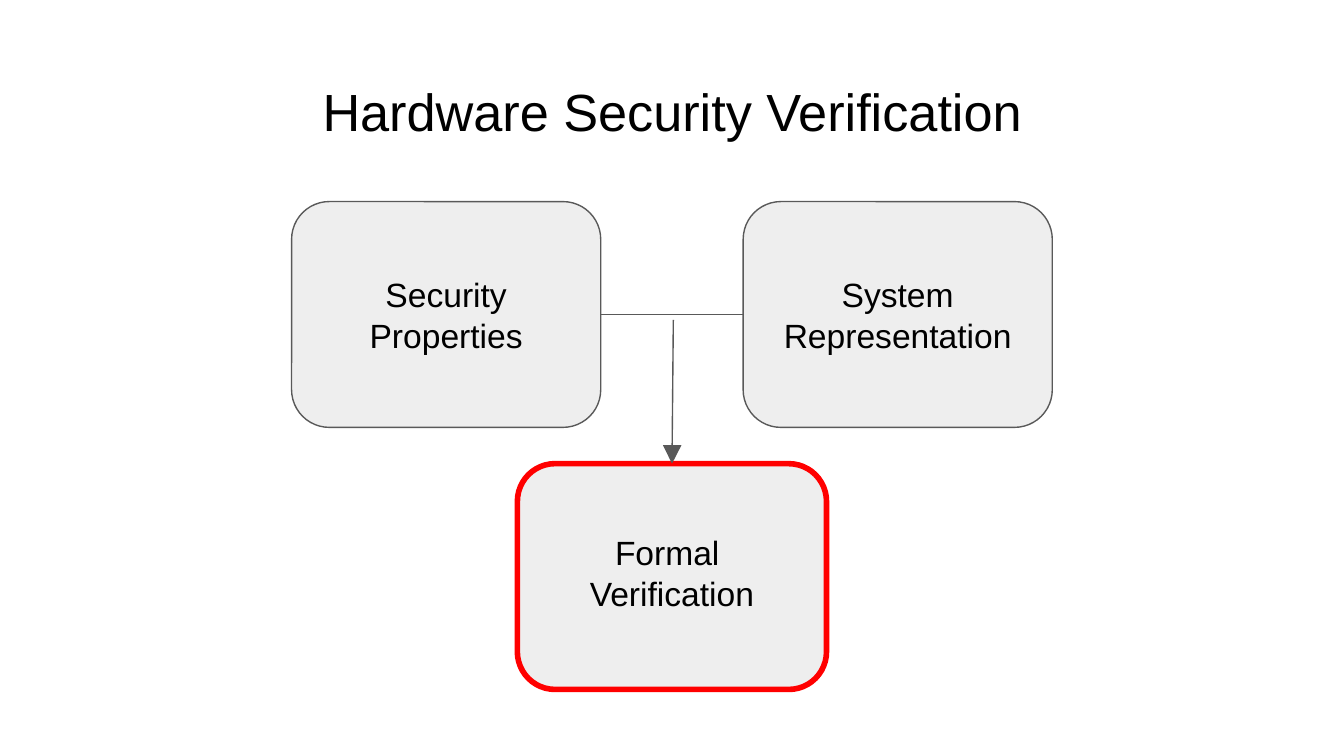
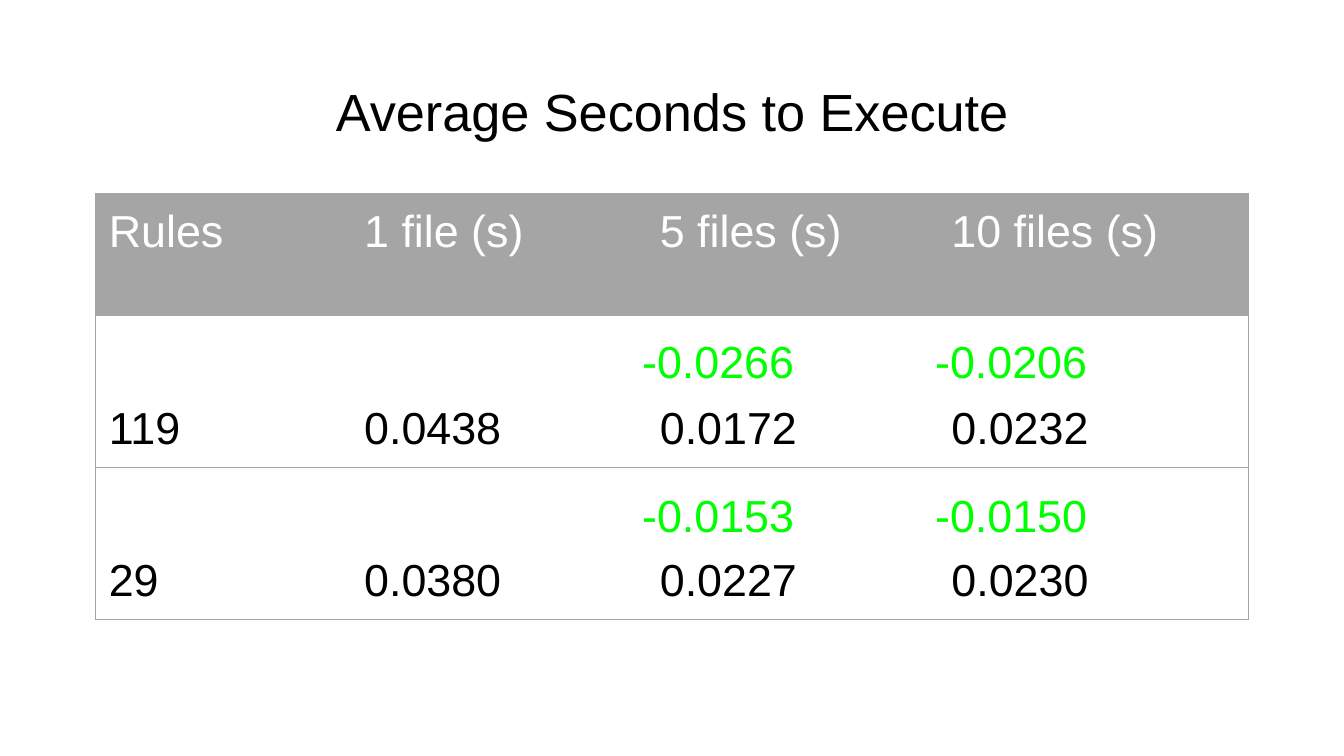
from lxml import etree
from pptx import Presentation
from pptx.dml.color import RGBColor
from pptx.enum.shapes import MSO_CONNECTOR, MSO_SHAPE
from pptx.enum.text import MSO_ANCHOR, PP_ALIGN
from pptx.oxml.ns import qn
from pptx.util import Inches, Pt

STRAIGHT = MSO_CONNECTOR.STRAIGHT
ROUNDED = MSO_SHAPE.ROUNDED_RECTANGLE
TOP, MIDDLE, BOTTOM = MSO_ANCHOR.TOP, MSO_ANCHOR.MIDDLE, MSO_ANCHOR.BOTTOM
LEFT, CENTER = PP_ALIGN.LEFT, PP_ALIGN.CENTER
SIDE_TOP, SIDE_LEFT, SIDE_RIGHT = 0, 1, 3

FONT = "Arial"
COLORS = {
    "text": "000000",
    "box": "EEEEEE",
    "line": "595959",
    "highlight": "FF0000",
    "header": "A5A5A5",
    "header_text": "FFFFFF",
    "gain": "00FF00",
}
TITLE_BOX = (0.34, 0.49, 9.32, 0.63)
FLOW_BOX = (2.17, 1.5, 5.66, 3.63)
TIMING_BOX = (0.71, 1.44, 8.58, 3.17)

COLUMN_WIDTHS = [1.9, 2.2, 2.17, 2.31]
ROW_HEIGHTS = [0.91, 1.13, 1.13]
TIMINGS = [
    ["Rules", "1 file (s)", "5 files (s)", "10 files (s)"],
    ["119", "0.0438", "0.0172", "0.0232"],
    ["29", "0.0380", "0.0227", "0.0230"],
]
GAINS = [["-0.0266", "-0.0206"], ["-0.0153", "-0.0150"]]


def color(name):
    return RGBColor.from_string(COLORS[name])


def write(text_frame, text, size, color_name="text", alignment=LEFT, spacing=None):
    text_frame.text = text
    text_frame.word_wrap = True
    text_frame.margin_left = text_frame.margin_right = Inches(0.1)
    text_frame.margin_top = text_frame.margin_bottom = Inches(0.1)
    for paragraph in text_frame.paragraphs:
        paragraph.alignment = alignment
        paragraph.line_spacing = spacing
        for run in paragraph.runs:
            run.font.name = FONT
            run.font.size = Pt(size)
            run.font.bold = False
            run.font.color.rgb = color(color_name)


def add_text(slide, box, text, size, color_name="text", alignment=LEFT):
    shape = slide.shapes.add_textbox(*map(Inches, box))
    write(shape.text_frame, text, size, color_name, alignment)
    shape.text_frame.vertical_anchor = TOP


def add_titled_slide(presentation, title):
    slide = presentation.slides.add_slide(presentation.slide_layouts[6])
    add_text(slide, TITLE_BOX, title, 28, alignment=CENTER)
    return slide


def add_step(slide, box, text, line_color="line", line_width=0.75):
    step = slide.shapes.add_shape(ROUNDED, *map(Inches, box))
    step.adjustments[0] = 0.167
    step.shadow.inherit = False
    step.fill.solid()
    step.fill.fore_color.rgb = color("box")
    step.line.color.rgb = color(line_color)
    step.line.width = Pt(line_width)
    write(step.text_frame, text, 18, alignment=CENTER)
    step.text_frame.vertical_anchor = MIDDLE
    return step


def add_line(slide, start, end, arrow=False):
    connector = slide.shapes.add_connector(STRAIGHT, *map(Inches, start + end))
    connector.line.color.rgb = color("line")
    connector.line.width = Pt(0.75)
    properties = connector._element.spPr
    if arrow:
        line = properties.find(qn("a:ln"))
        etree.SubElement(line, qn("a:tailEnd"), type="triangle", w="lg", len="lg")
    etree.SubElement(properties, qn("a:effectLst"))
    return connector


def add_flow(slide, box):
    left, top, width, height = box
    step_width, step_height = 2.3, 1.68
    right = left + width - step_width
    center = left + width / 2
    middle = top + step_height / 2
    result_top = top + height - step_height

    properties = add_step(slide, (left, top, step_width, step_height),
                          "Security Properties")
    system = add_step(slide, (right, top, step_width, step_height),
                      "System Representation")
    verification = add_step(
        slide, (center - step_width / 2, result_top, step_width, step_height),
        "Formal \nVerification", "highlight", 3)
    verification.text_frame.margin_bottom = Inches(0.16)

    link = add_line(slide, (left + step_width, middle), (right, middle))
    link.begin_connect(properties, SIDE_RIGHT)
    link.end_connect(system, SIDE_LEFT)
    arrow = add_line(slide, (center + 0.01, middle + 0.04),
                     (center, result_top), arrow=True)
    arrow.end_connect(verification, SIDE_TOP)


def set_borders(cell, visible_sides):
    properties = cell._tc.get_or_add_tcPr()
    for index, side in enumerate("LRTB"):
        line = etree.Element(qn(f"a:ln{side}"), w=str(Pt(0.83)))
        if side in visible_sides:
            fill = etree.SubElement(line, qn("a:solidFill"))
            etree.SubElement(fill, qn("a:srgbClr"), val=COLORS["header"])
        else:
            etree.SubElement(line, qn("a:noFill"))
        properties.insert(index, line)


def add_timing_cell(cell, text, is_header, sides):
    if is_header:
        cell.fill.solid()
        cell.fill.fore_color.rgb = color("header")
        write(cell.text_frame, text, 24, "header_text")
    else:
        cell.fill.background()
        write(cell.text_frame, text, 24, spacing=1.15)
    cell.vertical_anchor = TOP if is_header else BOTTOM
    cell.margin_left = cell.margin_right = Inches(0.1)
    cell.margin_top = cell.margin_bottom = Inches(0.1)
    set_borders(cell, sides)


def add_timings(slide, box):
    left, top = box[:2]
    frame = slide.shapes.add_table(len(TIMINGS), len(COLUMN_WIDTHS),
                                   *map(Inches, box))
    table = frame.table
    table.horz_banding = False
    for column, width in zip(table.columns, COLUMN_WIDTHS):
        column.width = Inches(width)
    last = len(COLUMN_WIDTHS) - 1
    for row_index, (height, values) in enumerate(zip(ROW_HEIGHTS, TIMINGS)):
        table.rows[row_index].height = Inches(height)
        for column_index, value in enumerate(values):
            sides = "TB" + {0: "L", last: "R"}.get(column_index, "")
            add_timing_cell(table.cell(row_index, column_index), value,
                            row_index == 0, sides)

    for row_index, gains in enumerate(GAINS):
        for column_index, gain in enumerate(gains):
            gain_box = (left + 3.97 + 2.18 * column_index,
                        top + 0.94 + 1.15 * row_index, 1.5, 0.43)
            add_text(slide, gain_box, gain, 24, "gain")


def main():
    presentation = Presentation()
    presentation.slide_width = Inches(10)
    presentation.slide_height = Inches(10) * 9 // 16
    add_flow(add_titled_slide(presentation, "Hardware Security Verification"),
             FLOW_BOX)
    add_timings(add_titled_slide(presentation, "Average Seconds to Execute"),
                TIMING_BOX)
    presentation.save("out.pptx")


if __name__ == "__main__":
    main()
